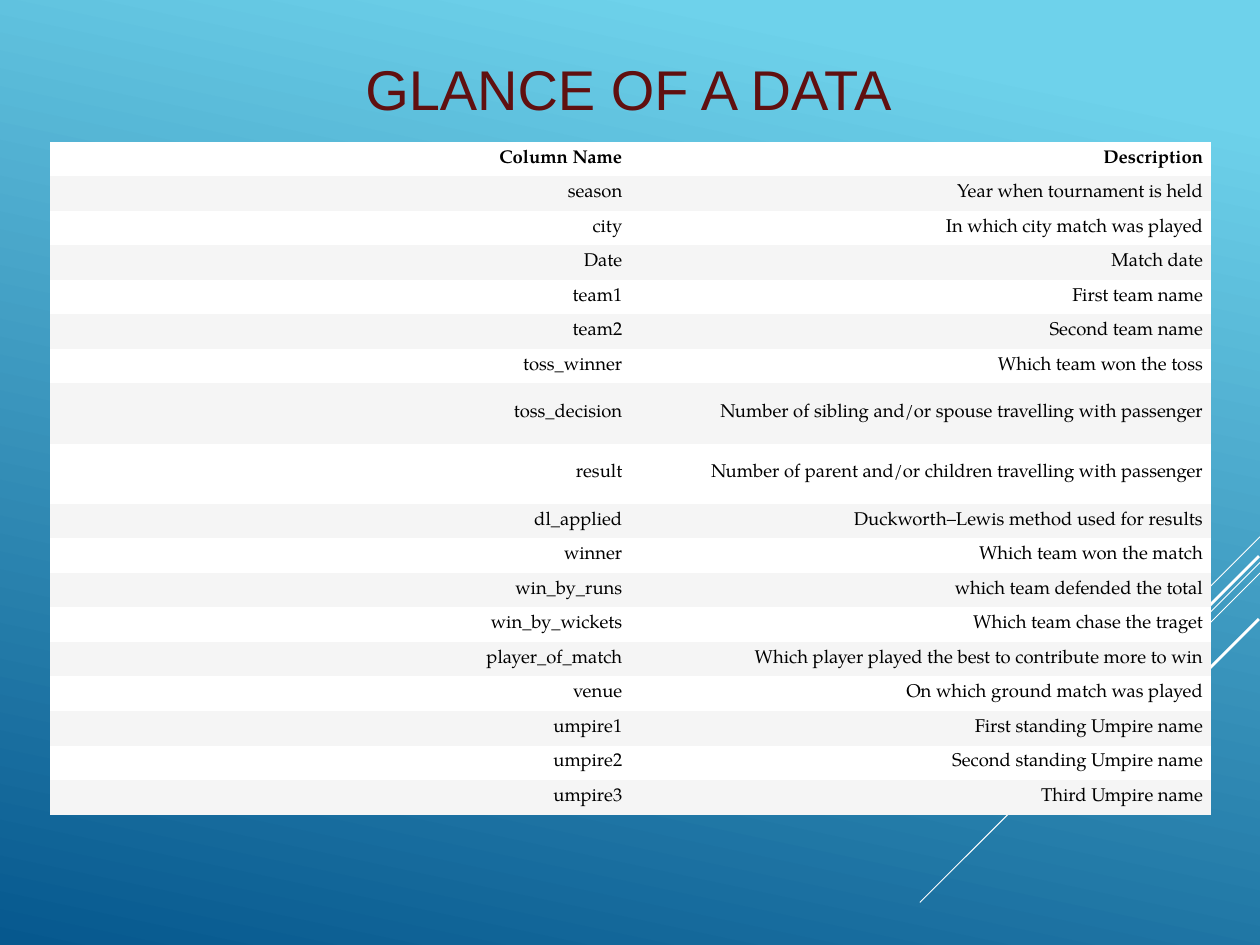
"""Build the "Glance of a data" slide: a table of match data columns and their descriptions."""
from lxml.etree import SubElement
from pptx import Presentation
from pptx.dml.color import RGBColor
from pptx.enum.shapes import MSO_CONNECTOR
from pptx.enum.text import MSO_ANCHOR, MSO_AUTO_SIZE, PP_ALIGN
from pptx.oxml.ns import qn
from pptx.util import Cm, Pt

SKY = RGBColor(0x6E, 0xD2, 0xEB)
DEEP_BLUE = RGBColor(0x06, 0x58, 0x8E)
WHITE = RGBColor(0xFF, 0xFF, 0xFF)
PALE_GREY = RGBColor(0xF5, 0xF5, 0xF5)
BLACK = RGBColor(0, 0, 0)
MAROON = RGBColor(0x60, 0x10, 0x10)

NO_STYLE = "{2D5ABB26-0587-4C30-8999-92F81FD0307C}"
ROW_HEIGHT, TALL_ROW_HEIGHT = Cm(0.99), Cm(1.73)
TALL_ROWS = ("toss_decision", "result")

DIAGONALS = [
    (36.12, 15.39, 2.98, 0.75),
    (36.12, 16.13, 9.75, 0.75),
    (36.12, 16.43, 6.22, 0.75),
    (36.09, 15.95, 5.69, 2.25),
    (36.09, 17.75, 4.14, 2.25),
]

COLUMNS = [
    ("Column Name", "Description"),
    ("season", "Year when tournament is held"),
    ("city", "In which city match was played"),
    ("Date", "Match date"),
    ("team1", "First team name"),
    ("team2", "Second team name"),
    ("toss_winner", "Which team won the toss"),
    ("toss_decision", "Number of sibling and/or spouse travelling with passenger"),
    ("result", "Number of parent and/or children travelling with passenger"),
    ("dl_applied", "Duckworth–Lewis method used for results"),
    ("winner", "Which team won the match"),
    ("win_by_runs", "which team defended the total"),
    ("win_by_wickets", "Which team chase the traget"),
    ("player_of_match", "Which player played the best to contribute more to win"),
    ("venue", "On which ground match was played"),
    ("umpire1", "First standing Umpire name"),
    ("umpire2", "Second standing Umpire name"),
    ("umpire3", "Third Umpire name"),
]

prs = Presentation()
prs.slide_width, prs.slide_height = Cm(36.12), Cm(27.1)
slide = prs.slides.add_slide(prs.slide_layouts[5])

backdrop = slide.background.fill
backdrop.gradient()
backdrop.gradient_angle = 258
for stop, (position, color) in zip(backdrop.gradient_stops, [(0.1, SKY), (1, DEEP_BLUE)]):
    stop.position = position
    stop.color.rgb = color

for x, y, reach, weight in DIAGONALS:
    diagonal = slide.shapes.add_connector(
        MSO_CONNECTOR.STRAIGHT, Cm(x), Cm(y), Cm(x - reach), Cm(y + reach))
    diagonal.line.color.rgb = WHITE
    diagonal.line.width = Pt(weight)
    SubElement(diagonal.element.spPr, qn("a:effectLst"))

heading = slide.shapes.title
heading.left, heading.top, heading.width, heading.height = Cm(1.37), Cm(0.84), Cm(33.3), Cm(3.38)
heading.text_frame.auto_size = MSO_AUTO_SIZE.NONE
heading.text_frame.vertical_anchor = MSO_ANCHOR.MIDDLE
heading_line = heading.text_frame.paragraphs[0]
heading_line.alignment = PP_ALIGN.CENTER
heading_run = heading_line.add_run()
heading_run.text = "GLANCE OF A DATA"
heading_run.font.name = "Arial"
heading_run.font.size = Pt(45.5)
heading_run.font.color.rgb = MAROON

glossary_frame = slide.shapes.add_table(
    len(COLUMNS), 2, Cm(1.42), Cm(4.06), Cm(33.3), ROW_HEIGHT * len(COLUMNS))
for style_id in glossary_frame.element.iter(qn("a:tableStyleId")):
    style_id.text = NO_STYLE
glossary = glossary_frame.table
glossary.horz_banding = False

for row_index, entry in enumerate(COLUMNS):
    glossary.rows[row_index].height = TALL_ROW_HEIGHT if entry[0] in TALL_ROWS else ROW_HEIGHT
    for column_index, wording in enumerate(entry):
        cell = glossary.cell(row_index, column_index)
        cell.fill.solid()
        cell.fill.fore_color.rgb = PALE_GREY if row_index % 2 else WHITE
        cell.vertical_anchor = MSO_ANCHOR.MIDDLE
        cell.margin_left = cell.margin_right = Cm(0.23)
        cell.margin_top = cell.margin_bottom = Cm(0.11)
        cell_line = cell.text_frame.paragraphs[0]
        cell_line.alignment = PP_ALIGN.RIGHT
        cell_run = cell_line.add_run()
        cell_run.text = wording
        cell_run.font.name = "TeX Gyre Pagella"
        cell_run.font.size = Pt(15)
        cell_run.font.bold = row_index == 0
        cell_run.font.color.rgb = BLACK

prs.save("out.pptx")
